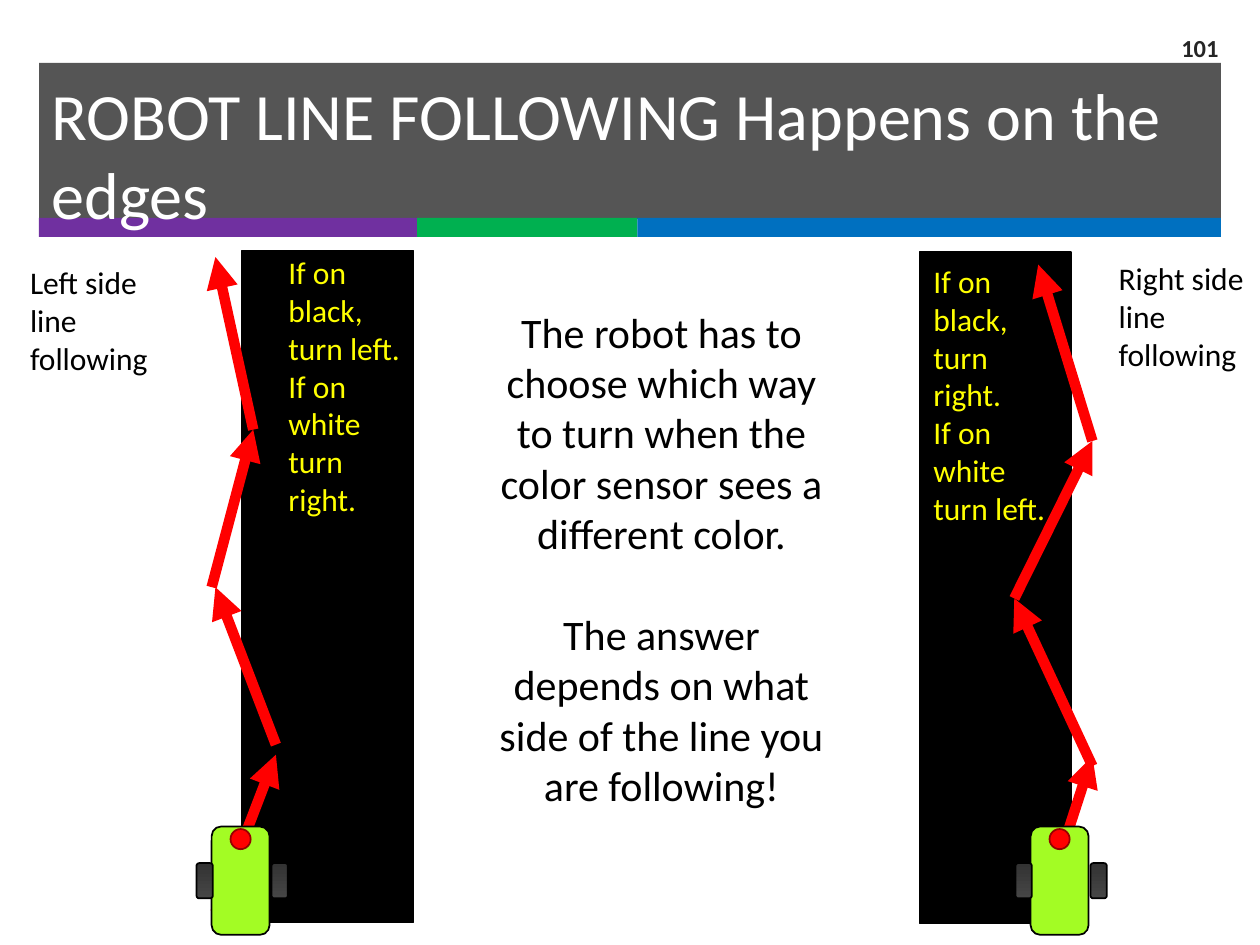
from itertools import accumulate

from lxml import etree
from pptx import Presentation
from pptx.dml.color import RGBColor
from pptx.enum.shapes import MSO_CONNECTOR, MSO_SHAPE
from pptx.enum.text import MSO_ANCHOR, PP_ALIGN
from pptx.oxml.ns import qn
from pptx.util import Inches, Pt

RECTANGLE = MSO_SHAPE.RECTANGLE
ROUNDED = MSO_SHAPE.ROUNDED_RECTANGLE
OVAL = MSO_SHAPE.OVAL
STRAIGHT = MSO_CONNECTOR.STRAIGHT
TOP, MIDDLE = MSO_ANCHOR.TOP, MSO_ANCHOR.MIDDLE
LEFT, CENTER, RIGHT = PP_ALIGN.LEFT, PP_ALIGN.CENTER, PP_ALIGN.RIGHT

# The slide is a grid of square cells; every length below counts cells.
COLUMNS, ROWS = 100, 75
CELL = Inches(10) / COLUMNS

THEME = {
    "font": "Calibri",
    "title_size": 37.8, "body_size": 24, "label_size": 18, "number_size": 14,
    "paper": "FFFFFF", "ink": "000000", "number": "262626", "rule": "FFFF00",
    "banner": "0D0D0D", "banner_opacity": 70,
    "path": "FF0000", "path_width": 6,
    "robot": "A3FC24", "sensor": "FF0000", "sensor_edge": "960000",
    "wheel": ("464646", "333333"),
}

BANNER = (3.1, 5, 93.8, 12.4)
STRIPE_LEFT, STRIPE_TOP, STRIPE_HEIGHT = 3.1, 17.3, 1.5
STRIPES = [(30, "7030A0"), (17.5, "00B050"), (46.3, "0070C0")]

# (paragraphs, box, size, colour, alignment, anchor, bold)
TEXTS = [
    (["ROBOT LINE FOLLOWING Happens on the edges"],
     (3.1, 6.9, 93.8, 10.6), "title_size", "paper", LEFT, MIDDLE, False),
    (["Left side line following"],
     (1.4, 20.4, 14, 10.1), "label_size", "ink", LEFT, TOP, False),
    (["Right side line following"],
     (87.8, 20.1, 12.2, 10.1), "label_size", "ink", LEFT, TOP, False),
    (["The robot has to choose which way to turn when the color sensor sees "
      "a different color.",
      "The answer depends on what side of the line you are following!"],
     (38.1, 23.8, 28.8, 45.4), "body_size", "ink", CENTER, TOP, False),
    (["If on black, turn left.", "If on white turn right."],
     (21.9, 19.6, 11.5, 22.2), "label_size", "rule", LEFT, TOP, False),
    (["If on black, turn right.", "If on white turn left."],
     (73.1, 20.3, 11.5, 22.2), "label_size", "rule", LEFT, TOP, False),
    (["101"], (90.8, 1.8, 6.9, 3.9), "number_size", "number", RIGHT, MIDDLE, True),
]

TRACKS = [
    {"line": (19.2, 19.9, 13.6, 53.3), "robot_left": 16.8,
     "arrows": [((17.1, 72.4), (21.9, 59.9)), ((21.9, 59.1), (17.1, 46.6)),
                ((16.8, 46.6), (20.1, 34.1)), ((20.1, 34.1), (17.1, 20.4))]},
    {"line": (73, 20, 12, 53.3), "robot_left": 81.8,
     "arrows": [((82.4, 73.3), (86.7, 60)), ((86.7, 60.8), (80.5, 47.5)),
                ((80.5, 47.5), (86.7, 35)), ((86.7, 35), (82.4, 21))]},
]

ROBOT_TOP = 65.6
# (preset, offset from the robot's top left corner and size, fill, edge)
ROBOT_PARTS = [
    (ROUNDED, (0, 0, 4.6, 8.6), "robot", "ink"),
    (ROUNDED, (4.75, 2.9, 1.3, 2.8), "wheel", "ink"),
    (ROUNDED, (-1.2, 2.9, 1.3, 2.8), "wheel", "ink"),
    (OVAL, (1.5, 0.2, 1.6, 1.6), "sensor", "sensor_edge"),
]


def cells(*counts):
    return [round(count * CELL) for count in counts]


def colour(value):
    return RGBColor.from_string(value)


def add_block(slide, preset, box, fill, edge=None, edge_width=1):
    """Add a preset shape; a pair of fill colours makes a gradient running upwards."""
    shape = slide.shapes.add_shape(preset, *cells(*box))
    shape.shadow.inherit = False
    if isinstance(fill, tuple):
        shape.fill.gradient()
        shape.fill.gradient_angle = 90
        for stop, value in zip(shape.fill.gradient_stops, fill):
            stop.color.rgb = colour(value)
    else:
        shape.fill.solid()
        shape.fill.fore_color.rgb = colour(fill)
    if edge:
        shape.line.color.rgb = colour(edge)
        shape.line.width = Pt(edge_width)
    else:
        shape.line.fill.background()
    return shape


def add_banner(slide):
    banner = add_block(slide, RECTANGLE, BANNER, THEME["banner"])
    value = banner.fill._xPr.find(f".//{qn('a:srgbClr')}")
    etree.SubElement(value, qn("a:alpha"), val=str(THEME["banner_opacity"] * 1000))
    widths = [width for width, _ in STRIPES]
    offsets = accumulate(widths, initial=STRIPE_LEFT)
    for left, (width, fill) in zip(offsets, STRIPES):
        add_block(slide, RECTANGLE, (left, STRIPE_TOP, width, STRIPE_HEIGHT), fill)


def add_arrow(slide, start, end):
    arrow = slide.shapes.add_connector(STRAIGHT, *cells(*start, *end))
    arrow.line.color.rgb = colour(THEME["path"])
    arrow.line.width = Pt(THEME["path_width"])
    etree.SubElement(arrow.line._get_or_add_ln(), qn("a:tailEnd"), type="triangle")
    etree.SubElement(arrow._element.spPr, qn("a:effectLst"))


def add_robot(slide, robot_left):
    for preset, (left, top, width, height), fill, edge in ROBOT_PARTS:
        box = (robot_left + left, ROBOT_TOP + top, width, height)
        add_block(slide, preset, box, THEME[fill], THEME[edge])


def add_text(slide, paragraphs, box, size, ink, alignment, anchor, bold):
    text_frame = slide.shapes.add_textbox(*cells(*box)).text_frame
    text_frame.word_wrap = True
    text_frame.vertical_anchor = anchor
    text_frame.text = "\n".join(paragraphs)
    for index, paragraph in enumerate(text_frame.paragraphs):
        paragraph.alignment = alignment
        if index and size == "body_size":
            paragraph.space_before = Pt(THEME[size] * 1.2)
        font = paragraph.runs[0].font
        font.name = THEME["font"]
        font.size = Pt(THEME[size])
        font.bold = bold
        font.color.rgb = colour(THEME[ink])


def main():
    presentation = Presentation()
    presentation.slide_width, presentation.slide_height = cells(COLUMNS, ROWS)
    slide = presentation.slides.add_slide(presentation.slide_layouts[6])
    add_banner(slide)
    for track in TRACKS:
        add_block(slide, RECTANGLE, track["line"], THEME["ink"], THEME["ink"], 0.75)
        for start, end in track["arrows"]:
            add_arrow(slide, start, end)
    for text in TEXTS:
        add_text(slide, *text)
    for track in TRACKS:
        add_robot(slide, track["robot_left"])
    presentation.save("out.pptx")


if __name__ == "__main__":
    main()
